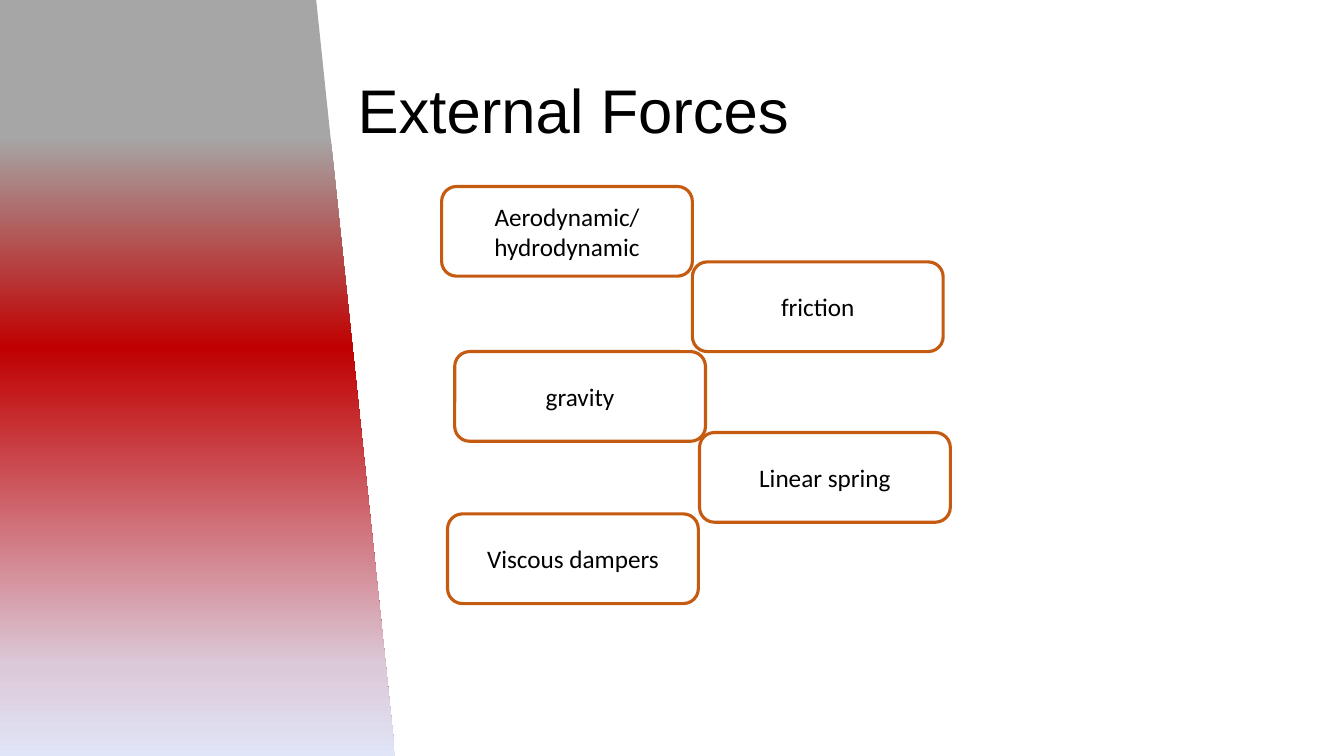
import copy

import pptx
import pptx.dml.color
import pptx.enum.shapes
import pptx.enum.text
import pptx.util

Cm = pptx.util.Cm
Color = pptx.dml.color.RGBColor
Shape = pptx.enum.shapes.MSO_SHAPE
Align = pptx.enum.text.PP_ALIGN

BLACK = Color(0x00, 0x00, 0x00)
WHITE = Color(0xFF, 0xFF, 0xFF)
ORANGE = Color(0xC5, 0x5A, 0x11)
PANEL_STOPS = [
    (0.18, Color(0xA6, 0xA6, 0xA6)),
    (0.46, Color(0xC0, 0x00, 0x00)),
    (0.88, Color(0xDC, 0xC9, 0xD8)),
    (1.0, Color(0xE0, 0xE5, 0xF7)),
]
SLIDE_WIDTH, SLIDE_HEIGHT = 33.87, 19.05
PANEL_WIDTH = 9.96
FORCE_WIDTH, FORCE_HEIGHT = 6.32, 2.26
FORCES = [
    ("Aerodynamic/ hydrodynamic", 11.13, 4.7),
    ("friction", 17.45, 6.6),
    ("gravity", 11.46, 8.86),
    ("Linear spring", 17.63, 10.9),
    ("Viscous dampers", 11.28, 12.95),
]


def write_text(frame, text, *, font, size, align, color=BLACK, line_spacing=1.0):
    frame.word_wrap = True
    frame.auto_size = pptx.enum.text.MSO_AUTO_SIZE.NONE
    frame.vertical_anchor = pptx.enum.text.MSO_ANCHOR.MIDDLE
    para = frame.paragraphs[0]
    para.alignment = align
    para.line_spacing = line_spacing
    span = para.add_run()
    span.text = text
    span.font.name = font
    span.font.size = pptx.util.Pt(size)
    span.font.color.rgb = color


class SlideBuilder:
    title_font = "Arial"
    body_font = "Calibri"

    def __init__(self, deck):
        self.slide = deck.slides.add_slide(deck.slide_layouts[5])

    def add_panel(self):
        """Place the slanted gradient band, turned upright, behind everything."""
        offset = (SLIDE_HEIGHT - PANEL_WIDTH) / 2
        panel = self.slide.shapes.add_shape(
            Shape.FLOWCHART_MANUAL_INPUT,
            Cm(-offset), Cm(offset), Cm(SLIDE_HEIGHT), Cm(PANEL_WIDTH))
        panel.rotation = 90
        panel.shadow.inherit = False
        panel.line.fill.background()
        panel.fill.gradient()
        panel.fill.gradient_angle = 0
        stop_list = panel.fill.gradient_stops[0]._gs.getparent()
        while len(stop_list) < len(PANEL_STOPS):
            stop_list.append(copy.deepcopy(stop_list[0]))
        for stop, (position, color) in zip(panel.fill.gradient_stops, PANEL_STOPS):
            stop.position = position
            stop.color.rgb = color
        self.slide.shapes.title._element.addprevious(panel._element)

    def add_title(self, text):
        title = self.slide.shapes.title
        title.left, title.top = Cm(8.76), Cm(1.02)
        title.width, title.height = Cm(24.79), Cm(3.68)
        write_text(title.text_frame, text, font=self.title_font, size=44,
                   align=Align.LEFT, line_spacing=0.9)

    def add_force(self, text, left, top):
        box = self.slide.shapes.add_shape(
            Shape.ROUNDED_RECTANGLE,
            Cm(left), Cm(top), Cm(FORCE_WIDTH), Cm(FORCE_HEIGHT))
        box.shadow.inherit = False
        box.fill.solid()
        box.fill.fore_color.rgb = WHITE
        box.line.color.rgb = ORANGE
        box.line.width = pptx.util.Pt(2.25)
        write_text(box.text_frame, text, font=self.body_font, size=18,
                   align=Align.CENTER)


def main():
    deck = pptx.Presentation()
    deck.slide_width, deck.slide_height = Cm(SLIDE_WIDTH), Cm(SLIDE_HEIGHT)
    builder = SlideBuilder(deck)
    builder.add_panel()
    builder.add_title("External Forces")
    for text, left, top in FORCES:
        builder.add_force(text, left, top)
    deck.save("out.pptx")


if __name__ == "__main__":
    main()
